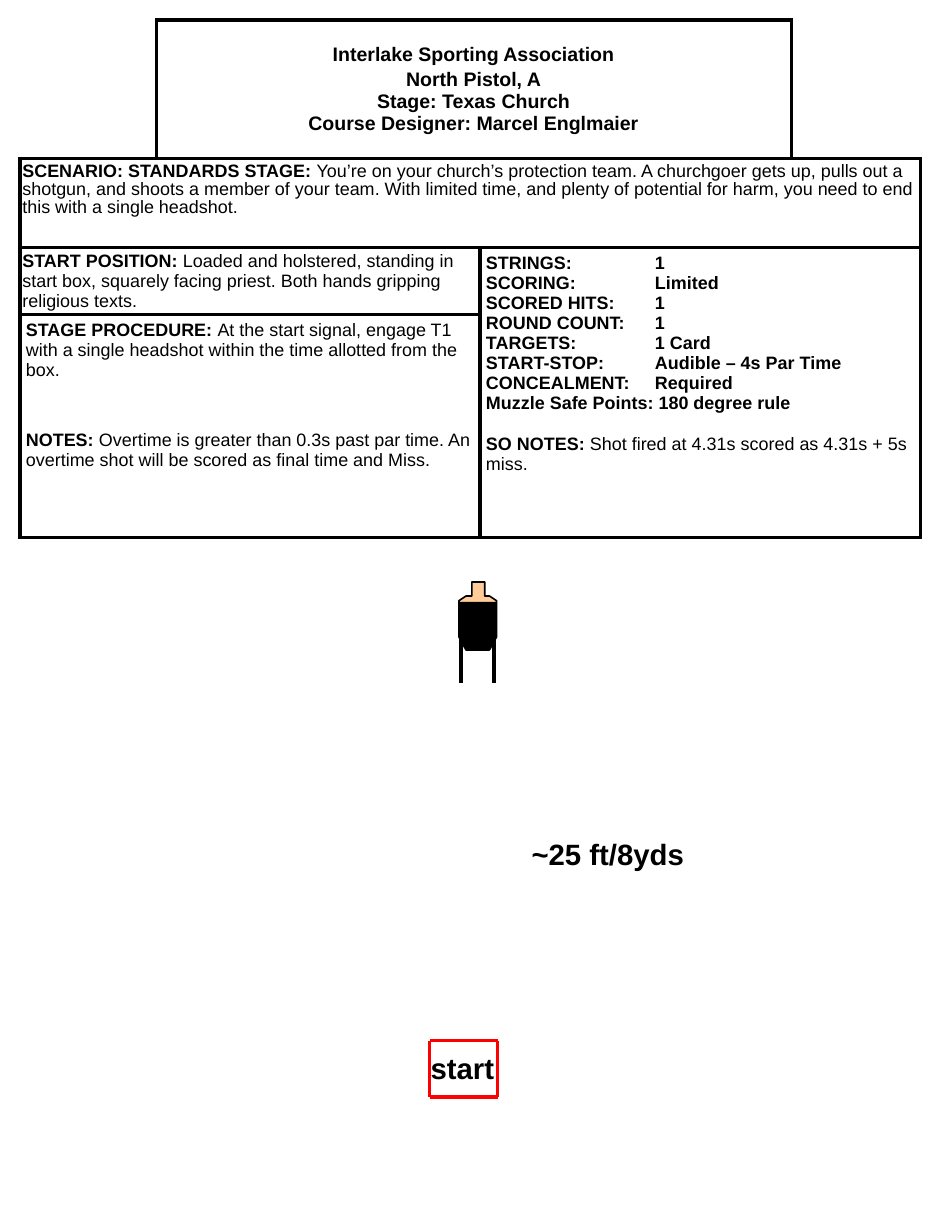
from lxml.etree import SubElement
from pptx import Presentation
from pptx.dml.color import RGBColor
from pptx.enum.shapes import MSO_CONNECTOR
from pptx.enum.text import MSO_ANCHOR, PP_ALIGN
from pptx.oxml import parse_xml
from pptx.oxml.ns import nsdecls, qn
from pptx.util import Inches, Pt

WIDE, HIGH = 8, 10.5
BLACK, WHITE, RED, TAN = "000000", "FFFFFF", "FF0000", "FFCC99"
COLS = [14.5, 34.5, 33.13, 13.75]
ROWS = [11.24, 7.24, 5.43, 18.1]
CLUB = [("Interlake Sporting Association", ""),
        ("North Pistol, A\vStage: Texas Church\vCourse Designer: Marcel Englmaier", "")]
SCENE = [("SCENARIO: STANDARDS STAGE: ",
          "You’re on your church’s protection team. A churchgoer gets up, pulls out a "
          "shotgun, and shoots a member of your team. With limited time, and plenty of "
          "potential for harm, you need to end this with a single headshot.")]
START = [("START POSITION: ",
          "Loaded and holstered, standing in start box, squarely facing priest. "
          "Both hands gripping religious texts.")]
STEPS = [("STAGE PROCEDURE: ",
          "At the start signal, engage T1 with a single headshot within the time "
          "allotted from the box."),
         ("NOTES: ",
          "Overtime is greater than 0.3s past par time. An overtime shot will be "
          "scored as final time and Miss.")]
FACTS = [("STRINGS:\t1", ""), ("SCORING:\tLimited", ""), ("SCORED HITS:\t1", ""),
         ("ROUND COUNT:\t1", ""), ("TARGETS:\t1 Card", ""),
         ("START-STOP:\tAudible – 4s Par Time", ""),
         ("CONCEALMENT:\tRequired", ""), ("Muzzle Safe Points: 180 degree rule", ""),
         ("SO NOTES: ", "Shot fired at 4.31s scored as 4.31s + 5s miss.")]


def across(share):
    return Inches(WIDE * share / 100)


def down(share):
    return Inches(HIGH * share / 100)


def paint(item, tone):
    if hasattr(item, "solid"):
        item.solid()
        item = item.fore_color
    else:
        item = item.color
    item.rgb = RGBColor.from_string(tone)


def style(run, size, bold=True):
    run.font.name = "Arial"
    run.font.size = Pt(size)
    run.font.bold = bold
    paint(run.font, BLACK)


def stop(para, place):
    tabs = SubElement(para._p.get_or_add_pPr(), qn("a:tabLst"))
    SubElement(tabs, qn("a:tab"), pos=str(place), algn="l")


def write(frame, pairs, size=11, gap=0):
    frame.word_wrap = True
    for rank, (head, body) in enumerate(pairs):
        para = frame.paragraphs[0] if rank == 0 else frame.add_paragraph()
        para.text = head
        if "\t" in head:
            stop(para, across(18))
        for run in para.runs:
            style(run, size)
        if body:
            run = para.add_run()
            run.text = body
            style(run, size, False)
        if gap and rank == len(pairs) - 1:
            para.space_before = Pt(gap)


def edge(cell, sides):
    props = cell._tc.get_or_add_tcPr()
    for rank, side in enumerate("LRTB"):
        shown = side in sides
        fill = (f'<a:solidFill><a:srgbClr val="{BLACK}"/></a:solidFill>'
                if shown else "<a:noFill/>")
        props.insert(rank, parse_xml(
            f'<a:ln{side} {nsdecls("a")} w="{Pt(2.25)}">{fill}</a:ln{side}>'))


def inset(cell, side, top):
    cell.margin_left = cell.margin_right = Inches(side)
    cell.margin_top = cell.margin_bottom = Inches(top)


def brief(slide):
    frame = slide.shapes.add_table(len(ROWS), len(COLS), across(2.13), down(1.62),
                                   across(sum(COLS)), down(sum(ROWS)))
    table = frame.table
    table.first_row = table.horz_banding = False
    for col, share in zip(table.columns, COLS):
        col.width = across(share)
    for row, share in zip(table.rows, ROWS):
        row.height = down(share)
    for row in range(len(ROWS)):
        for col in range(len(COLS)):
            cell = table.cell(row, col)
            paint(cell.fill, WHITE)
            edge(cell, {(0, 0): "RB", (0, 3): "LB"}.get((row, col), "LRTB"))
    parts = [
        ((0, 1), (0, 2), CLUB, 12, 2, 0.05, 0.05),
        ((1, 0), (1, 3), SCENE, 11, 0, 0.02, 0.04),
        ((2, 0), (2, 1), START, 11, 0, 0.02, 0.03),
        ((2, 2), (3, 3), FACTS, 11, 13, 0.05, 0.05),
        ((3, 0), (3, 1), STEPS, 11, 31, 0.05, 0.05),
    ]
    for first, last, pairs, size, gap, side, top in parts:
        cell = table.cell(*first)
        cell.merge(table.cell(*last))
        inset(cell, side, top)
        write(cell.text_frame, pairs, size, gap)
    club = table.cell(0, 1)
    club.vertical_anchor = MSO_ANCHOR.MIDDLE
    for para in club.text_frame.paragraphs:
        para.alignment = PP_ALIGN.CENTER
    table.cell(1, 0).text_frame.paragraphs[0].line_spacing = 0.9


def label(slide, text, left, top, width):
    box = slide.shapes.add_textbox(across(left), down(top), across(width), down(3.81))
    write(box.text_frame, [(text, "")], 18)


def rule(slide, start, end, tone, weight):
    line = slide.shapes.add_connector(
        MSO_CONNECTOR.STRAIGHT, across(start[0]), down(start[1]),
        across(end[0]), down(end[1]))
    paint(line.line, tone)
    line.line.width = Pt(weight)
    SubElement(line._element.spPr, qn("a:effectLst"))


def outline(slide, points, tone, weight):
    spots = [(across(x), down(y)) for x, y in points]
    pen = slide.shapes.build_freeform(*spots[0])
    pen.add_line_segments(spots[1:], close=True)
    shape = pen.convert_to_shape()
    shape.shadow.inherit = False
    paint(shape.fill, tone)
    if weight:
        paint(shape.line, BLACK)
        shape.line.width = Pt(weight)
    else:
        shape.line.fill.background()


def target(slide):
    for x in (49.13, 52.63):
        rule(slide, (x, 51.33), (x, 55.43), BLACK, 2.25)
    base = [(52.88, 51.71), (52.13, 52.76), (49.63, 52.76), (48.88, 51.71)]
    neck = [(48.88, 48.76), (49.63, 48.38), (50.25, 48.38), (50.25, 47.24),
            (51.63, 47.24), (51.63, 48.38), (52.13, 48.38), (52.88, 48.76)]
    outline(slide, neck + base, TAN, 1)
    outline(slide, [(48.88, 48.86), (52.88, 48.86)] + base, BLACK, 0)


def pen(slide):
    left, right, top, foot = 45.75, 53, 84.48, 89.05
    for y in (top, foot):
        rule(slide, (right, y), (left, y), RED, 2)
    for x in (left, right):
        rule(slide, (x, top), (x, foot), RED, 2)
    label(slide, "start", 44.63, 84.76, 10.75)


def main():
    deck = Presentation()
    deck.slide_width, deck.slide_height = Inches(WIDE), Inches(HIGH)
    slide = deck.slides.add_slide(deck.slide_layouts[6])
    brief(slide)
    label(slide, "~25 ft/8yds", 55.38, 67.43, 19.63)
    pen(slide)
    target(slide)
    deck.save("out.pptx")


if __name__ == "__main__":
    main()
